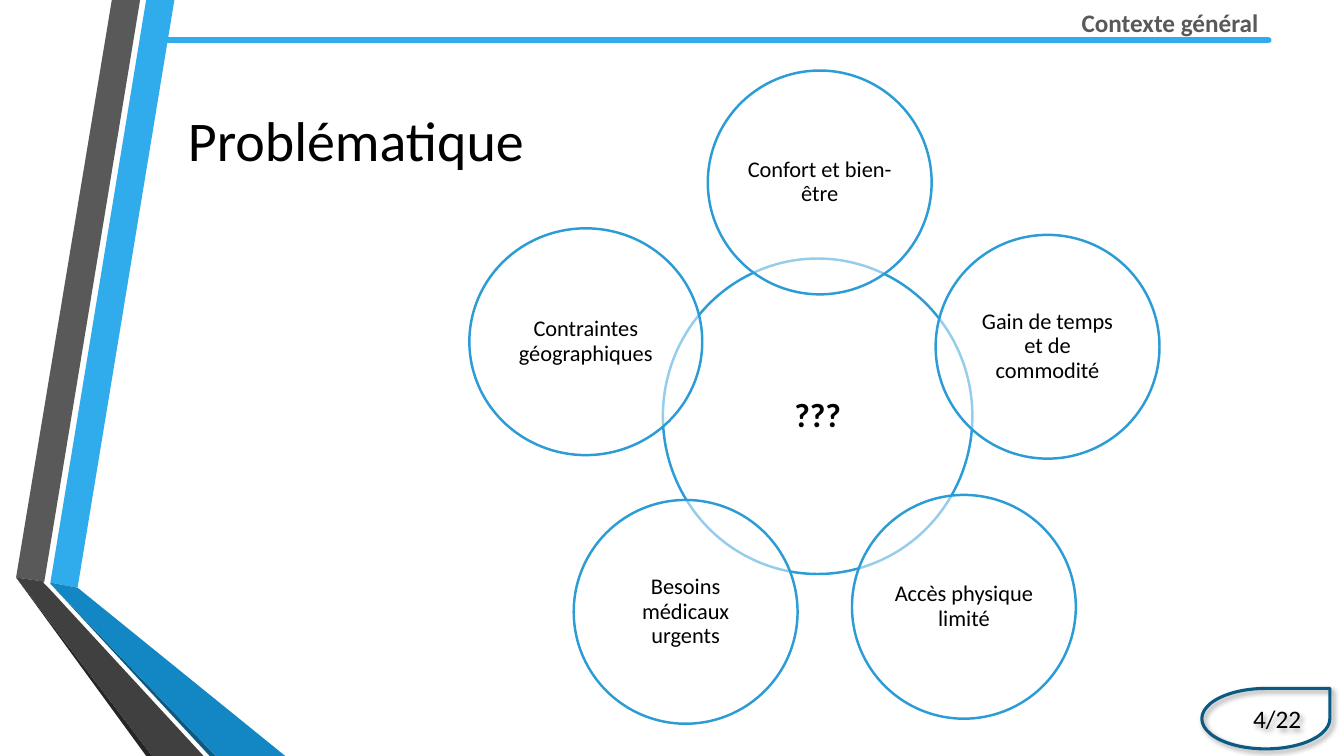
from lxml import etree
from pptx import Presentation
from pptx.dml.color import RGBColor
from pptx.enum.shapes import MSO_CONNECTOR, MSO_SHAPE
from pptx.enum.text import MSO_ANCHOR as Anchor, PP_ALIGN as Align
from pptx.oxml.ns import qn
from pptx.util import Inches, Pt

WIDTH, HEIGHT = 13.33, 7.5
FONT = "Calibri"

BLACK = RGBColor(0x00, 0x00, 0x00)
WHITE = RGBColor(0xFF, 0xFF, 0xFF)
SKY = RGBColor(0x30, 0xAC, 0xEC)
BLUE = RGBColor(0x12, 0x87, 0xC3)
NAVY = RGBColor(0x0C, 0x5A, 0x82)
RING = RGBColor(0x2C, 0x9C, 0xD6)
HEADER_GRAY = RGBColor(0x5A, 0x59, 0x5A)
GRAY = RGBColor(0x59, 0x59, 0x59)
DARK_GRAY = RGBColor(0x40, 0x40, 0x40)
NEAR_BLACK = RGBColor(0x26, 0x26, 0x26)

SECTION = "Contexte général"
TITLE = "Problématique"
PAGE = "4/22"

# Ribbon facets: colour, corner points in inches
FACETS = [
    (SKY, [(0.5, 5.78), (0.77, 5.83), (1.73, 0), (1.45, 0)]),
    (GRAY, [(1.39, 0), (1.11, 0), (0.16, 5.73), (0.44, 5.77)]),
    (NEAR_BLACK, [(0.16, 5.73), (1.45, HEIGHT), (1.51, HEIGHT)]),
    (NAVY, [(0.5, 5.79), (2.08, HEIGHT), (2.14, HEIGHT)]),
    (BLUE, [(0.5, 5.79), (2.14, HEIGHT), (2.83, HEIGHT), (0.77, 5.83), (0.5, 5.78)]),
    (DARK_GRAY, [(2.02, HEIGHT), (0.48, 5.83), (0.43, 5.78), (0.44, 5.77),
                 (0.16, 5.73), (1.51, HEIGHT)]),
]

# Circles: text, centre x, centre y, width, height, text size, bold
CIRCLES = [
    ("???", 8.11, 4.13, 3.07, 3.13, 24, True),
    ("Confort et bien-être", 8.13, 1.81, 2.22, 2.22, 16, False),
    ("Gain de temps et de commodité", 10.39, 3.44, 2.22, 2.22, 16, False),
    ("Accès physique limité", 9.56, 6.02, 2.22, 2.22, 16, False),
    ("Besoins médicaux urgents", 6.8, 6.07, 2.22, 2.22, 16, False),
    ("Contraintes géographiques", 5.81, 3.39, 2.31, 2.25, 16, False),
]


def box(*lengths):
    return [Inches(length) for length in lengths]


def write(shape, text, size, color, align, bold=False, anchor=Anchor.MIDDLE, wrap=True):
    frame = shape.text_frame
    frame.text = text
    frame.word_wrap = wrap
    frame.vertical_anchor = anchor
    paragraph = frame.paragraphs[0]
    paragraph.alignment = align
    font = paragraph.runs[0].font
    font.name, font.size, font.bold = FONT, Pt(size), bold
    font.color.rgb = color
    return frame


def add_facet(slide, color, points):
    corners = [box(*point) for point in points]
    builder = slide.shapes.build_freeform(*corners[0])
    builder.add_line_segments(corners[1:], close=True)
    shape = builder.convert_to_shape()
    shape.shadow.inherit = False
    shape.fill.solid()
    shape.fill.fore_color.rgb = color
    shape.line.fill.background()


def add_header(slide):
    rule = slide.shapes.add_connector(MSO_CONNECTOR.STRAIGHT, *box(12.58, 0.4, 1.62, 0.4))
    rule.line.color.rgb = SKY
    rule.line.width = Pt(4.5)
    rule.line._get_or_add_ln().set("cap", "rnd")
    etree.SubElement(rule._element.spPr, qn("a:effectLst"))
    label = slide.shapes.add_textbox(*box(10.5, 0.02, 2.08, 0.4))
    write(label, SECTION, 18, HEADER_GRAY, Align.RIGHT, True, Anchor.TOP, False)


def add_circle(slide, text, x, y, width, height, size, bold):
    circle = slide.shapes.add_shape(
        MSO_SHAPE.OVAL, *box(x - width / 2, y - height / 2, width, height))
    circle.shadow.inherit = False
    circle.fill.solid()
    circle.fill.fore_color.rgb = WHITE
    color = circle._element.spPr.find(qn("a:solidFill"))[0]
    etree.SubElement(color, qn("a:alpha"), val="50000")
    circle.line.color.rgb = RING
    circle.line.width = Pt(1.75)
    frame = write(circle, text, size, BLACK, Align.CENTER, bold)
    frame.paragraphs[0].line_spacing = 0.9
    frame.margin_left = frame.margin_right = Inches(0.02)
    frame.margin_top = frame.margin_bottom = Inches(0.02)


def add_page_number(slide):
    badge = slide.shapes.add_shape(MSO_SHAPE.TEAR, *box(11.92, 6.83, 1.27, 0.6))
    badge.fill.background()
    badge.line.color.rgb = NAVY
    badge.line.width = Pt(2.25)
    badge.shadow.inherit = False
    shadow = etree.SubElement(
        badge._element.spPr.find(qn("a:effectLst")), qn("a:outerShdw"),
        blurRad=str(Pt(4)), dist=str(Pt(3)), dir=str(45 * 60000),
        algn="tl", rotWithShape="0")
    color = etree.SubElement(shadow, qn("a:srgbClr"), val=str(BLACK))
    etree.SubElement(color, qn("a:alpha"), val="40000")
    write(badge, PAGE, 18, BLACK, Align.RIGHT)


def main():
    presentation = Presentation()
    presentation.slide_width, presentation.slide_height = box(WIDTH, HEIGHT)
    slide = presentation.slides.add_slide(presentation.slide_layouts[6])
    for color, points in FACETS:
        add_facet(slide, color, points)
    add_header(slide)
    title = slide.shapes.add_textbox(*box(-1.95, 0.42, 10.96, 1.92))
    write(title, TITLE, 40, BLACK, Align.CENTER)
    for circle in CIRCLES:
        add_circle(slide, *circle)
    add_page_number(slide)
    presentation.save("out.pptx")


if __name__ == "__main__":
    main()
